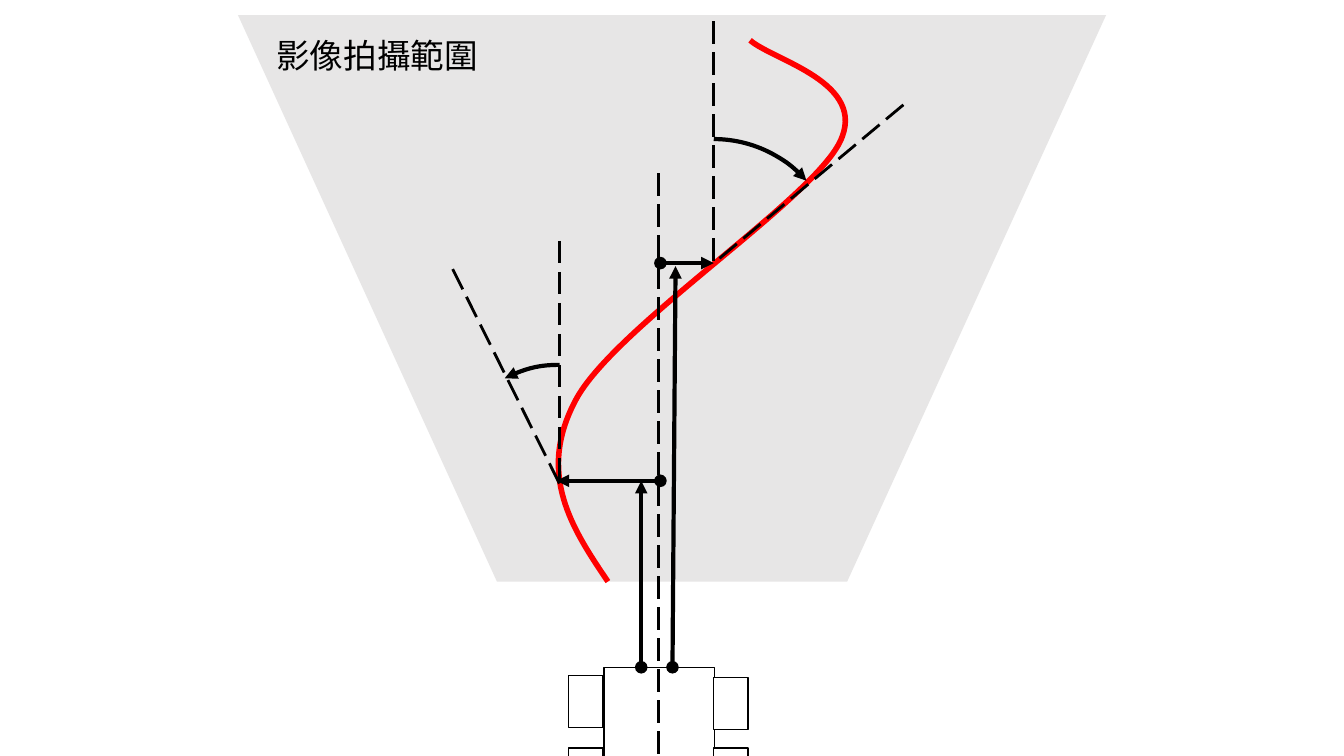
from dataclasses import dataclass
from lxml.etree import SubElement
from pptx import Presentation
from pptx.dml.color import RGBColor
from pptx.enum.dml import MSO_LINE
from pptx.enum.shapes import MSO_CONNECTOR, MSO_SHAPE
from pptx.enum.text import MSO_AUTO_SIZE
from pptx.oxml.ns import qn
from pptx.util import Inches, Pt


@dataclass(frozen=True)
class Theme:
    ink: RGBColor = RGBColor(0, 0, 0)
    paper: RGBColor = RGBColor(255, 255, 255)
    field: RGBColor = RGBColor(0xE7, 0xE6, 0xE6)
    path_red: RGBColor = RGBColor(255, 0, 0)
    font: str = "Noto Sans CJK JP"
    label_size: int = 24
    outline: int = 1
    guide: int = 2
    arrow: int = 3
    curve: int = 4


theme = Theme()


def add_text(page, text, left, top, width, height, size, color, font):
    box = page.shapes.add_textbox(Inches(left), Inches(top), Inches(width), Inches(height))
    frame = box.text_frame
    frame.margin_left = frame.margin_right = frame.margin_top = frame.margin_bottom = 0
    frame.word_wrap = False
    frame.auto_size = MSO_AUTO_SIZE.SHAPE_TO_FIT_TEXT
    span = frame.paragraphs[0].add_run()
    span.text = text
    span.font.size = Pt(size)
    span.font.color.rgb = color
    span.font.name = font
    SubElement(span.font._element, qn("a:ea"), typeface=font)


def style_line(shape, color, width, dash=None, head=None, tail=None):
    shape.line.color.rgb = color
    shape.line.width = Pt(width)
    if dash:
        shape.line.dash_style = dash
    properties = shape._element.spPr
    outline = properties.find(qn("a:ln"))
    for tag, kind in (("a:headEnd", head), ("a:tailEnd", tail)):
        if kind:
            SubElement(outline, qn(tag), type=kind)
    if properties.find(qn("a:effectLst")) is None:
        SubElement(properties, qn("a:effectLst"))


deck = Presentation()
deck.slide_width, deck.slide_height = Inches(13.33), Inches(7.5)
page = deck.slides.add_slide(deck.slide_layouts[6])

camera_field = page.shapes.add_shape(
    MSO_SHAPE.TRAPEZOID, Inches(2.36), Inches(0.15), Inches(8.61), Inches(5.62))
camera_field.adjustments[0] = 0.457
camera_field.rotation = 180
camera_field.shadow.inherit = False
camera_field.fill.solid()
camera_field.fill.fore_color.rgb = theme.field
camera_field.line.fill.background()

curve_start = (6.03, 5.77)
curve_points = [
    (5.67, 5.24), (5.32, 4.7), (5.71, 3.97),
    (6.09, 3.25), (8.04, 2), (8.33, 1.41),
    (8.62, 0.82), (7.67, 0.6), (7.44, 0.4),
]
builder = page.shapes.build_freeform(*map(Inches, curve_start))
builder.add_line_segments([(Inches(x), Inches(y)) for x, y in curve_points], close=False)
road_curve = builder.convert_to_shape()
road_curve.shadow.inherit = False
road_curve.fill.background()
style_line(road_curve, theme.path_red, theme.curve)
outline_path = road_curve._element.find(".//" + qn("a:path"))
segments = outline_path.findall(qn("a:lnTo"))
for first in range(0, len(segments), 3):
    bezier = SubElement(outline_path, qn("a:cubicBezTo"))
    for segment in segments[first:first + 3]:
        bezier.append(segment[0])
        outline_path.remove(segment)

car_body = (5.99, 6.62, 1.1, 1.45)
wheels = [(left, top, 0.34, 0.52)
          for left, top in ((7.08, 6.72), (7.08, 7.42), (5.64, 7.42), (5.64, 6.7))]
for bounds in [car_body, *wheels]:
    part = page.shapes.add_shape(MSO_SHAPE.RECTANGLE, *map(Inches, bounds))
    part.shadow.inherit = False
    part.fill.solid()
    part.fill.fore_color.rgb = theme.paper
    style_line(part, theme.ink, theme.outline)

guide = dict(width=theme.guide, dash=MSO_LINE.LONG_DASH)
measure = dict(width=theme.arrow, head="triangle", tail="oval")
lines = [
    (6.53, 1.72, 6.53, 8.13, guide),
    (7.08, 2.61, 6.55, 2.61, measure),
    (5.52, 4.77, 6.55, 4.77, measure),
    (8.96, 1.04, 7.08, 2.61, guide),
    (7.08, 0.21, 7.08, 2.61, guide),
    (6.7, 2.64, 6.67, 6.62, measure),
    (6.36, 4.77, 6.36, 6.62, measure),
    (4.49, 2.67, 5.55, 4.8, guide),
    (5.55, 2.39, 5.55, 4.8, guide),
]
for *ends, look in lines:
    connector = page.shapes.add_connector(MSO_CONNECTOR.STRAIGHT, *map(Inches, ends))
    style_line(connector, theme.ink, **look)

angle_arcs = [
    (5.85, 1.38, 2.46, 162, 191.02, dict(tail="triangle")),
    (4.37, 3.62, 2.36, 145.54, 162, dict(head="triangle")),
]
for left, top, diameter, start, stop, arrowhead in angle_arcs:
    arc = page.shapes.add_shape(
        MSO_SHAPE.ARC, Inches(left), Inches(top), Inches(diameter), Inches(diameter))
    arc.adjustments[0] = start
    arc.adjustments[1] = stop
    arc.shadow.inherit = False
    arc.fill.background()
    style_line(arc, theme.ink, theme.arrow, **arrowhead)

add_text(page, "影像拍攝範圍", left=2.74, top=0.35, width=2.02, height=0.4,
         size=theme.label_size, color=theme.ink, font=theme.font)

deck.save("out.pptx")
